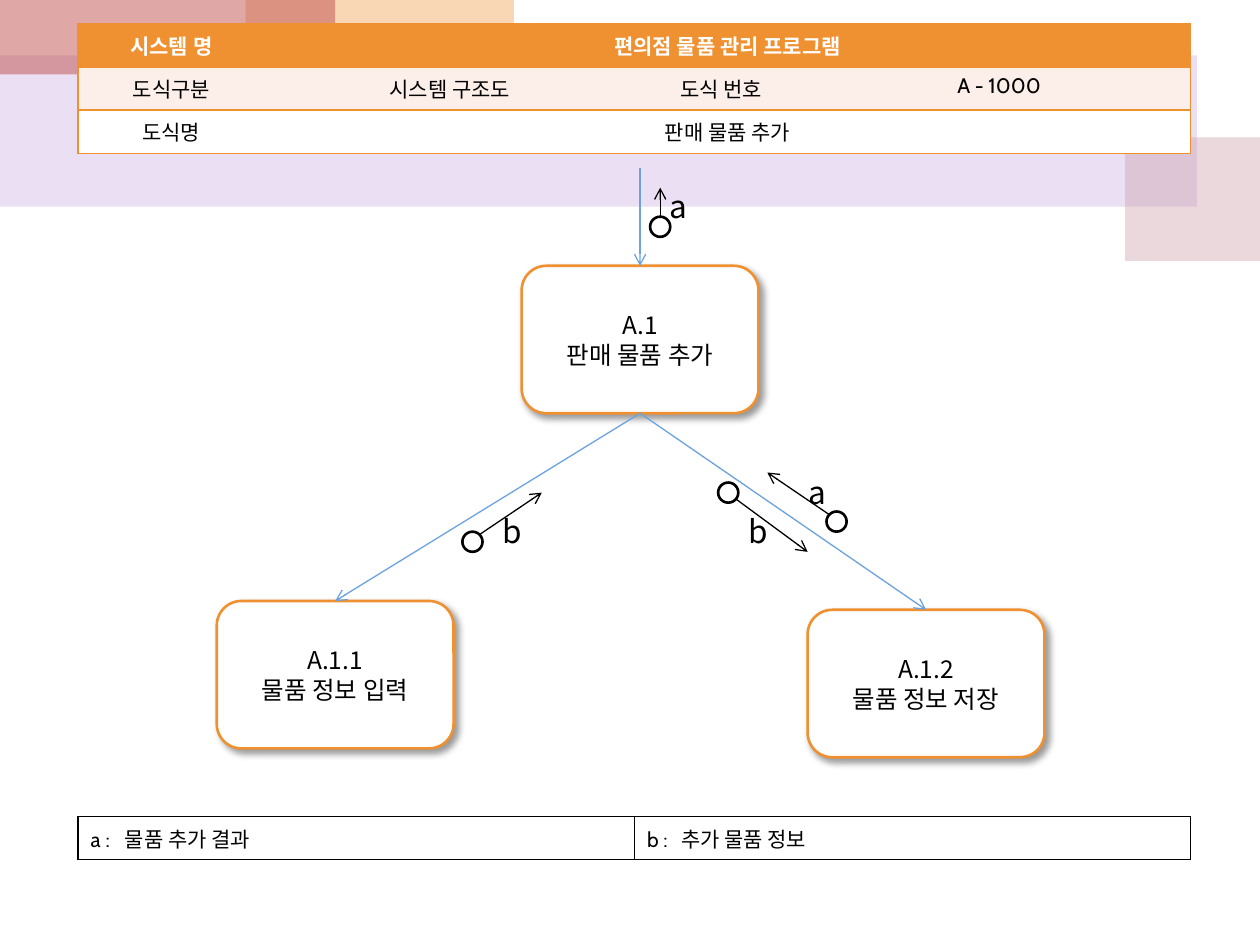
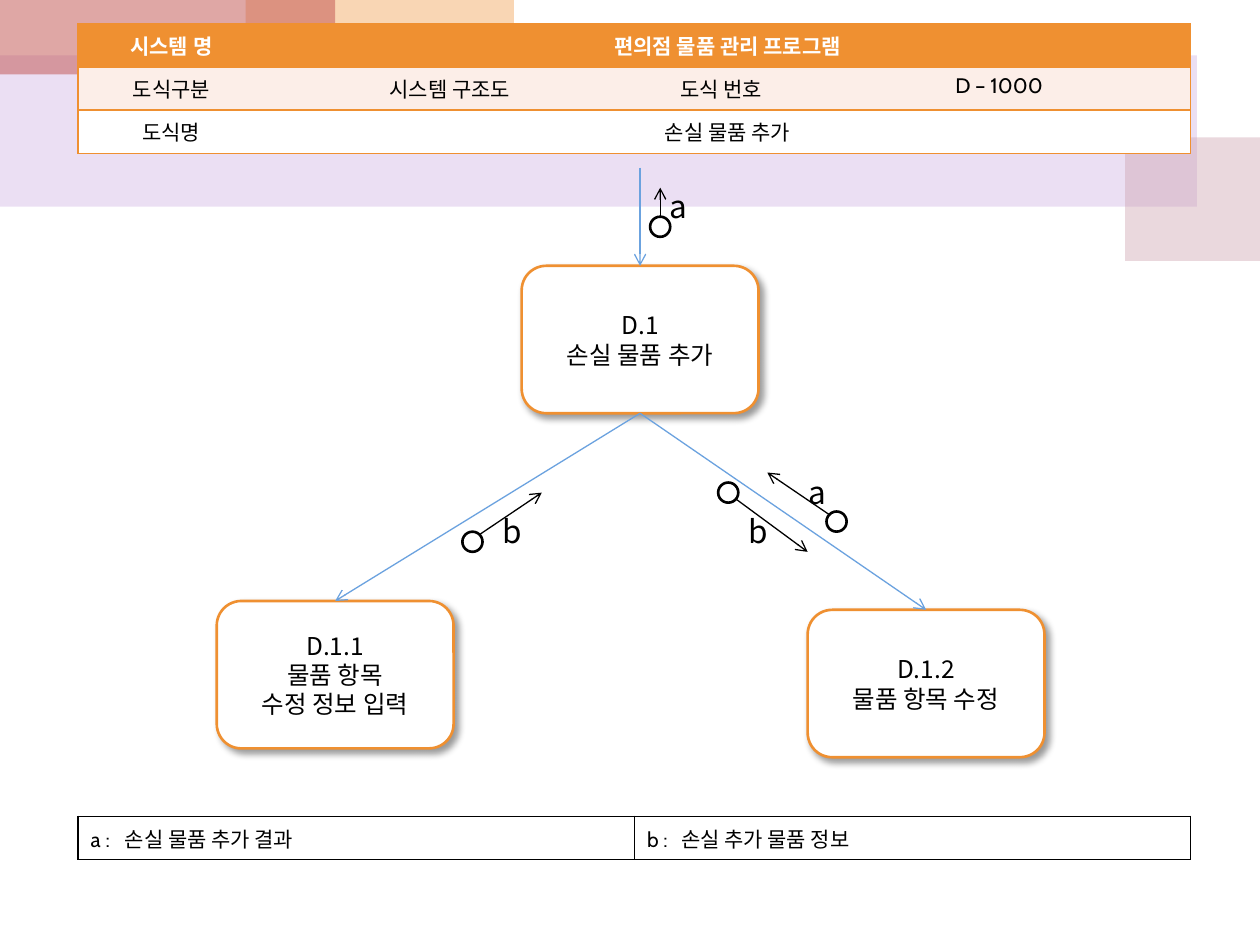
import dataclasses

import lxml.etree
import pptx
import pptx.dml.color
import pptx.enum.shapes
import pptx.enum.text
import pptx.oxml.ns
import pptx.util

Inches = pptx.util.Inches
Pt = pptx.util.Pt
RGB = pptx.dml.color.RGBColor.from_string
SubElement = lxml.etree.SubElement
qn = pptx.oxml.ns.qn
SHAPE = pptx.enum.shapes.MSO_SHAPE
STRAIGHT = pptx.enum.shapes.MSO_CONNECTOR.STRAIGHT
ALIGN = pptx.enum.text.PP_ALIGN
MIDDLE = pptx.enum.text.MSO_ANCHOR.MIDDLE


@dataclasses.dataclass(frozen=True)
class Theme:
    orange: str = "EF9031"
    peach: str = "FCEEE8"
    blue: str = "6BA2DF"
    black: str = "000000"
    white: str = "FFFFFF"
    table_font: str = "Cabin"
    korean_font: str = "Noto Sans CJK KR"
    table_size: int = 12
    box_size: int = 14
    label_size: int = 18
    no_table_style: str = "{2D5ABB26-0587-4C30-8999-92F81FD0307C}"


theme = Theme()

# Backdrop bands: left, top, width, height, colour, opacity in percent
bands = [
    (0, 0.44, 9.5, 1.2, "BF98D8", 30),
    (8.93, 1.09, 1.07, 0.98, "CC9EAC", 40),
    (1.95, 0, 2.13, 0.59, "F5BC83", 60),
    (0, 0, 2.66, 0.59, "C0504D", 50),
]

# Diagram layout shared by the pages
box_width, box_height = 1.88, 1.17
box_places = [(4.14, 2.11), (1.72, 4.77), (6.41, 4.84)]
circle_size, label_size = 0.16, 0.31
# Data flows: circle corner, arrow start, arrow end, label, label corner
flows = [
    ((5.7, 3.83), (5.84, 3.96), (6.41, 4.38), "b", (5.86, 4.06)),
    ((6.56, 4.06), (6.59, 4.09), (6.09, 3.75), "a", (6.33, 3.75)),
    ((3.67, 4.22), (3.81, 4.24), (4.3, 3.91), "b", (3.91, 4.06)),
    ((5.16, 1.72), (5.24, 1.72), (5.24, 1.49), "a", (5.23, 1.48)),
]

# Wording of each page
charts = [
    {
        "number": "A - 1000",
        "name": "판매 물품 추가",
        "boxes": ["A.1\n판매 물품 추가", "A.1.1\n물품 정보 입력", "A.1.2\n물품 정보 저장"],
        "legend": ["a :\t물품 추가 결과", "b :\t추가 물품 정보"],
    },
    {
        "number": "D – 1000",
        "name": "손실 물품 추가",
        "boxes": ["D.1\n손실 물품 추가", "D.1.1\n물품 항목\n수정 정보 입력", "D.1.2\n물품 항목 수정"],
        "legend": ["a :\t손실 물품 추가 결과", "b :\t손실 추가 물품 정보"],
    },
]


def format_text(frame, size, font, colour=theme.black, bold=False, align=ALIGN.CENTER):
    for para in frame.paragraphs:
        para.alignment = align
        for span in para.runs:
            span.font.size = Pt(size)
            span.font.name = font
            span.font.bold = bold
            span.font.color.rgb = RGB(colour)
            latin = span.font._element.find(qn("a:latin"))
            korean = latin.makeelement(qn("a:ea"), {"typeface": theme.korean_font})
            latin.addnext(korean)


def add_arrow(page, start, end, colour):
    arrow = page.shapes.add_connector(STRAIGHT, *map(Inches, start + end))
    arrow.line.color.rgb = RGB(colour)
    arrow.line.width = Pt(0.75)
    properties = arrow.element.find(qn("p:spPr"))
    SubElement(properties.find(qn("a:ln")), qn("a:tailEnd"), type="arrow")
    SubElement(properties, qn("a:effectLst"))
    return arrow


deck = pptx.Presentation()
deck.slide_width, deck.slide_height = Inches(10), Inches(7.5)
pages = [deck.slides.add_slide(deck.slide_layouts[6]) for chart in charts]

# Bands go on the master, behind its placeholders
master_tree = deck.slide_master.shapes.element
for position, (*place, colour, opacity) in enumerate(bands, start=2):
    band = pages[0].shapes.add_shape(SHAPE.RECTANGLE, *map(Inches, place))
    band.shadow.inherit = False
    band.line.fill.background()
    band.fill.solid()
    band.fill.fore_color.rgb = RGB(colour)
    tint = next(band.element.iter(qn("a:srgbClr")))
    SubElement(tint, qn("a:alpha"), val=str(opacity * 1000))
    master_tree.insert(position, band.element)

for page, chart in zip(pages, charts):
    # Header and legend tables; None continues the merged cell before it
    header = [
        ["시스템 명", "편의점 물품 관리 프로그램", None, None],
        ["도식구분", "시스템 구조도", "도식 번호", chart["number"]],
        ["도식명", chart["name"], None, None],
    ]
    tables = [
        (0.19, header, [1.48, 2.94, 1.37, 3.04], theme.orange, ALIGN.CENTER),
        (6.48, [chart["legend"]], [4.415, 4.415], theme.black, ALIGN.LEFT),
    ]
    for top, rows, widths, border, align in tables:
        is_header = rows is header
        frame = page.shapes.add_table(
            len(rows), len(widths), Inches(0.62), Inches(top),
            Inches(sum(widths)), Inches(0.34 * len(rows)))
        table = frame.table
        next(frame.element.iter(qn("a:tableStyleId"))).text = theme.no_table_style
        for column, width in zip(table.columns, widths):
            column.width = Inches(width)
        for row_index, row in enumerate(rows):
            if None in row:
                table.cell(row_index, 1).merge(table.cell(row_index, 3))
            for column_index, words in enumerate(row):
                cell = table.cell(row_index, column_index)
                # Borders: verticals inside the header stay open
                at_left = column_index == 0
                at_right = column_index + cell.span_width == len(widths)
                sides = [("L", at_left or not is_header), ("R", at_right or not is_header),
                         ("T", True), ("B", True)]
                properties = cell._tc.get_or_add_tcPr()
                for side, drawn in sides:
                    if drawn:
                        line = SubElement(properties, qn("a:ln" + side), w=str(Pt(1)))
                        paint = SubElement(line, qn("a:solidFill"))
                        SubElement(paint, qn("a:srgbClr"), val=border)
                if is_header:
                    cell.fill.solid()
                    cell.fill.fore_color.rgb = RGB([theme.orange, theme.peach, theme.white][row_index])
                else:
                    cell.fill.background()
                if words is None:
                    continue
                cell.text_frame.text = words
                if not is_header:
                    para_properties = cell.text_frame.paragraphs[0]._p.get_or_add_pPr()
                    stops = SubElement(para_properties, qn("a:tabLst"))
                    SubElement(stops, qn("a:tab"), pos=str(Inches(0.27)), algn="l")
                is_title = is_header and row_index == 0
                format_text(cell.text_frame, theme.table_size, theme.table_font,
                            theme.white if is_title else theme.black, is_title, align)

    # Module boxes
    boxes = []
    for place, words in zip(box_places, chart["boxes"]):
        box = page.shapes.add_shape(
            SHAPE.ROUNDED_RECTANGLE, *map(Inches, place + (box_width, box_height)))
        box.fill.solid()
        box.fill.fore_color.rgb = RGB(theme.white)
        box.line.color.rgb = RGB(theme.orange)
        box.line.width = Pt(1.5)
        box.shadow.inherit = False
        effects = next(box.element.iter(qn("a:effectLst")))
        shadow = SubElement(effects, qn("a:outerShdw"), blurRad=str(Pt(4)), dist=str(Pt(3)),
                            dir="2700000", algn="tl", rotWithShape="0")
        shade = SubElement(shadow, qn("a:srgbClr"), val=theme.black)
        SubElement(shade, qn("a:alpha"), val="40000")
        box.text_frame.text = words
        box.text_frame.vertical_anchor = MIDDLE
        format_text(box.text_frame, theme.box_size, theme.korean_font)
        boxes.append(box)

    # Call lines: into the main module, then down to its two parts
    main_box, *part_boxes = boxes
    for part_box in part_boxes:
        call = add_arrow(page, (5.08, 3.28), (5.08, 4.8), theme.blue)
        call.begin_connect(main_box, 2)
        call.end_connect(part_box, 0)
    entry = add_arrow(page, (5.08, 1.33), (5.08, 2.11), theme.blue)
    entry.end_connect(main_box, 0)

    # Data flows
    for corner, start, end, letter, label_corner in flows:
        circle = page.shapes.add_shape(
            SHAPE.OVAL, *map(Inches, corner + (circle_size, circle_size)))
        circle.shadow.inherit = False
        circle.fill.background()
        circle.line.color.rgb = RGB(theme.black)
        circle.line.width = Pt(1.5)
        add_arrow(page, start, end, theme.black)
        label = page.shapes.add_textbox(*map(Inches, label_corner + (label_size, label_size)))
        frame = label.text_frame
        frame.word_wrap = True
        frame.margin_left = frame.margin_right = frame.margin_top = frame.margin_bottom = 0
        frame.vertical_anchor = MIDDLE
        frame.text = letter
        format_text(frame, theme.label_size, theme.korean_font)

deck.save("out.pptx")
